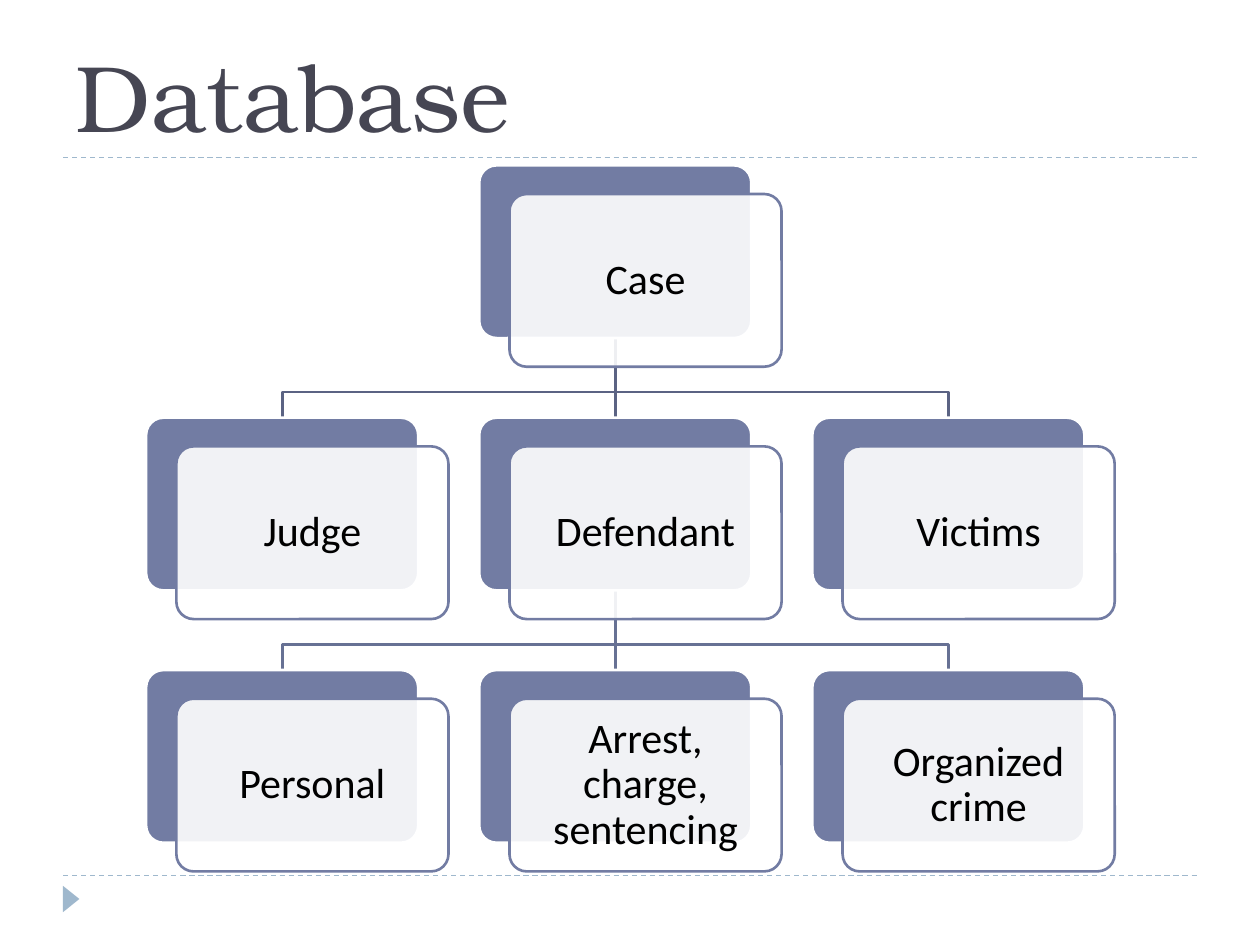
from lxml import etree
from pptx import Presentation
from pptx.dml import color
from pptx.enum import dml, shapes, text
from pptx.oxml import ns
from pptx.util import Pt

ACCENT, PALE = "727CA3", "9FB8CD"
CARD_WIDTH, CARD_HEIGHT = 155.5, 98.7
SHIFT_X, SHIFT_Y = 17.3, 16.4
BEND_GAP = 14.6

ROWS = [
    ["", "Case", ""],
    ["Judge", "Defendant", "Victims"],
    ["Personal", "Arrest, charge, sentencing", "Organized crime"],
]
BRANCH_COLORS = ["5B6383", "677194"]


def rgb(value):
    return color.RGBColor.from_string(value)


def set_line(shape, value, width):
    shape.line.color.rgb = rgb(value)
    shape.line.width = Pt(width)


def add_line(slide, x1, y1, x2, y2, value, width):
    line = slide.shapes.add_connector(
        shapes.MSO_CONNECTOR.STRAIGHT, Pt(x1), Pt(y1), Pt(x2), Pt(y2))
    set_line(line, value, width)
    etree.SubElement(line._element.spPr, ns.qn("a:effectLst"))
    return line


def add_frame(slide, left, top, width, height):
    """Dashed rules above and below the content, with a corner marker."""
    for y in (top, top + height):
        rule = add_line(slide, left, y, left + width, y, PALE, 0.75)
        rule.line.dash_style = dml.MSO_LINE.DASH
    marker = slide.shapes.add_shape(
        shapes.MSO_SHAPE.ISOSCELES_TRIANGLE,
        Pt(left - 2.9), Pt(top + height + 8.6), Pt(15.1), Pt(9.4))
    marker.rotation = 90
    marker.shadow.inherit = False
    marker.fill.solid()
    marker.fill.fore_color.rgb = rgb(PALE)
    marker.line.fill.background()


def add_title(slide, left, top, width, height):
    title = slide.shapes.title
    title.left, title.top = Pt(left), Pt(top)
    title.width, title.height = Pt(width), Pt(height)
    frame = title.text_frame
    frame.text = "Database"
    frame.auto_size = text.MSO_AUTO_SIZE.NONE
    frame.vertical_anchor = text.MSO_ANCHOR.BOTTOM
    paragraph = frame.paragraphs[0]
    paragraph.alignment = text.PP_ALIGN.LEFT
    font = paragraph.runs[0].font
    font.name, font.size = "TeX Gyre Bonum", Pt(54)
    font.color.rgb = rgb("464653")


def add_panel(slide, left, top, fill, line):
    panel = slide.shapes.add_shape(
        shapes.MSO_SHAPE.ROUNDED_RECTANGLE,
        Pt(left), Pt(top), Pt(CARD_WIDTH), Pt(CARD_HEIGHT))
    panel.adjustments[0] = 0.1
    panel.shadow.inherit = False
    panel.fill.solid()
    panel.fill.fore_color.rgb = rgb(fill)
    set_line(panel, line, 1.5)
    return panel


def add_card(slide, left, top, label):
    """A solid panel with a translucent labelled panel shifted over it."""
    add_panel(slide, left, top, ACCENT, "FFFFFF")
    front = add_panel(slide, left + SHIFT_X, top + SHIFT_Y, "FFFFFF", ACCENT)
    fill_color = front._element.spPr.find(ns.qn("a:solidFill"))[0]
    etree.SubElement(fill_color, ns.qn("a:alpha"), val="90000")

    frame = front.text_frame
    frame.text = label
    frame.word_wrap = True
    frame.vertical_anchor = text.MSO_ANCHOR.MIDDLE
    frame.margin_left = frame.margin_right = Pt(10)
    frame.margin_top = frame.margin_bottom = Pt(10)
    paragraph = frame.paragraphs[0]
    paragraph.alignment = text.PP_ALIGN.CENTER
    paragraph.line_spacing = 0.9
    font = paragraph.runs[0].font
    font.name, font.size = "Calibri", Pt(24)
    font.color.rgb = rgb("000000")


def add_branch(slide, start, end, value):
    """Join a parent to a child, straight down or with two bends."""
    (x1, y1), (x2, y2) = start, end
    if x1 == x2:
        add_line(slide, x1, y1, x2, y2, value, 1.5)
        return
    bend = y2 - BEND_GAP
    builder = slide.shapes.build_freeform(Pt(x1), Pt(y1))
    builder.add_line_segments(
        [(Pt(x), Pt(y)) for x, y in ((x1, bend), (x2, bend), (x2, y2))],
        close=False)
    elbow = builder.convert_to_shape()
    elbow.shadow.inherit = False
    elbow.fill.background()
    set_line(elbow, value, 1.5)


def add_hierarchy(slide, left, top, width, height):
    """Three rows of cards; each middle card is parent of the row below."""
    step_x = (width - CARD_WIDTH - SHIFT_X) / 2
    step_y = (height - CARD_HEIGHT - SHIFT_Y) / 2
    columns = [left + step_x * i for i in range(3)]
    tops = [top + step_y * i for i in range(3)]
    centers = [x + CARD_WIDTH / 2 for x in columns]

    # Branches lie behind the cards
    for value, parent_top, child_top in zip(BRANCH_COLORS, tops, tops[1:]):
        start = (centers[1], parent_top + CARD_HEIGHT)
        for center in centers:
            add_branch(slide, start, (center, child_top), value)

    for y, labels in zip(tops, ROWS):
        for x, label in zip(columns, labels):
            if label:
                add_card(slide, x, y, label)


def main():
    presentation = Presentation()
    presentation.slide_width, presentation.slide_height = Pt(720), Pt(540)
    slide = presentation.slides.add_slide(presentation.slide_layouts[5])
    add_frame(slide, 36, 90, 648, 410.4)
    add_title(slide, 36, 12.2, 648, 77.8)
    add_hierarchy(slide, 83.5, 94.5, 553.5, 403.5)
    presentation.save("out.pptx")


if __name__ == "__main__":
    main()
